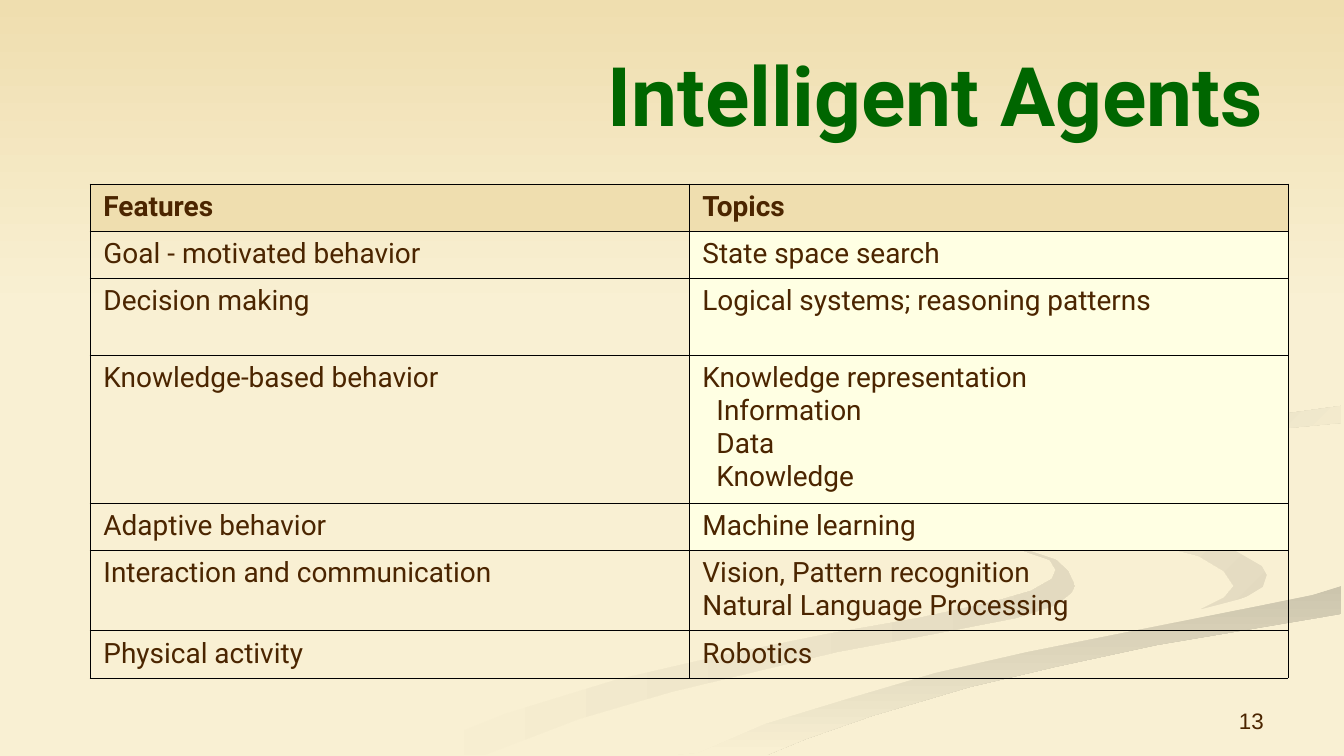
import lxml.etree
import pptx
import pptx.dml.color
import pptx.enum.text
import pptx.oxml.ns
import pptx.util

EMU_PER_PX = 914400 / 134.4
WIDTH, HEIGHT = 1344, 756

COLORS = {
    "background": "F9F0D3", "sand": "EFDEAF", "cream": "FFFFE3",
    "brown": "4B2500", "green": "006600", "border": "000000",
    "ribbon": "E3DAC0", "trail": "CCC5AD", "wisp": "DBD3B9",
}

# Edges shared by neighbouring ribbons
HOOK_EDGE = [(974, 468), (981, 482), (1001, 495), (1041, 508), (1116, 524),
             (1194, 539), (1236, 551), (1262, 566), (1267, 575)]
TRAIL_EDGE = [(676, 755), (698, 753), (765, 724), (847, 699), (935, 673),
              (1027, 652), (1117, 634), (1258, 606), (1312, 595), (1341, 586)]
WISP_EDGE = [(1050, 465), (1063, 450), (1104, 437), (1163, 427), (1254, 418),
             (1341, 406)]

LOOP = [(1050, 558), (1017, 547), (961, 532), (863, 511), (809, 495),
        (784, 481), (773, 462), (766, 476), (781, 488), (821, 503),
        (913, 524), (978, 539), (1024, 551), (1050, 560), (1056, 570),
        (1052, 579), (1031, 591), (993, 602), (919, 618), (828, 634),
        (724, 655), (616, 680), (505, 714), (403, 755), (485, 755),
        (579, 719), (671, 692), (758, 671), (837, 652), (939, 633),
        (1016, 618), (1056, 605), (1071, 593), (1075, 586), (1068, 571),
        (1056, 560)]
HOOK = HOOK_EDGE + [
    (1265, 586), (1253, 594), (1231, 602), (1202, 609), (1224, 598),
    (1234, 586), (1224, 571), (1199, 556), (1148, 543), (1071, 528),
    (1015, 509), (985, 492), (974, 478)]
TRAIL = TRAIL_EDGE + [
    (1341, 614), (1157, 645), (1055, 667), (970, 687), (872, 716),
    (806, 739), (767, 755)]
SWOOSH = HOOK_EDGE + [
    (1263, 587), (1245, 598), (1199, 610), (1133, 622), (1048, 638),
    (946, 660), (832, 689), (707, 730), (641, 755),
] + TRAIL_EDGE + [
    (1342, 543), (1265, 531), (1164, 513), (1098, 496), (1056, 477),
] + WISP_EDGE + [
    (1342, 390), (1266, 402), (1144, 414), (1059, 426), (997, 442),
    (977, 458)]
WISP = WISP_EDGE + [
    (1341, 423), (1258, 431), (1154, 446), (1097, 462), (1082, 476),
    (1091, 491), (1110, 500), (1083, 491), (1056, 478)]
TOP_BAND = [(0, 0), (WIDTH, 0), (WIDTH, 310), (0, 310)]

# Outline, gradient colours, clockwise gradient angle
DECORATIONS = [
    (LOOP, ("background", "ribbon"), 0),
    (HOOK, ("background", "ribbon"), 45),
    (TRAIL, ("trail", "background"), 90),
    (SWOOSH, ("background",), 0),
    (WISP, ("wisp", "background"), 45),
    (TOP_BAND, ("sand", "background"), 90),
]

# Row height, feature, topics, fill of the topics cell
ROWS = [
    (47, "Features", "Topics", "sand"),
    (46, "Goal - motivated behavior", "State space search", "cream"),
    (77, "Decision making", "Logical systems; reasoning patterns", "cream"),
    (145, "Knowledge-based behavior",
     "Knowledge representation\nInformation\nData\nKnowledge", "cream"),
    (47, "Adaptive behavior", "Machine learning", "cream"),
    (79, "Interaction and communication",
     "Vision, Pattern recognition\nNatural Language Processing", None),
    (46, "Physical activity", "Robotics", None),
]
INDENTED = {"Information", "Data", "Knowledge"}


def px(length):
    return pptx.util.Emu(round(length * EMU_PER_PX))


def rgb(name):
    return pptx.dml.color.RGBColor.from_string(COLORS[name])


def style_paragraph(paragraph, font_name, size, color, bold=False):
    for run in paragraph.runs:
        run.font.name = font_name
        run.font.size = pptx.util.Pt(size)
        run.font.bold = bold
        run.font.color.rgb = rgb(color)


def add_decoration(slide, points, colors, angle):
    builder = slide.shapes.build_freeform(*points[0], scale=EMU_PER_PX)
    builder.add_line_segments(points[1:], close=True)
    shape = builder.convert_to_shape()
    shape.shadow.inherit = False
    shape.line.fill.background()
    if len(colors) == 1:
        shape.fill.solid()
        shape.fill.fore_color.rgb = rgb(colors[0])
        return
    shape.fill.gradient()
    shape.fill.gradient_angle = (360 - angle) % 360
    for stop, color in zip(shape.fill.gradient_stops, colors):
        stop.color.rgb = rgb(color)


def add_right_text(slide, text, box, anchor, **style):
    text_frame = slide.shapes.add_textbox(*map(px, box)).text_frame
    text_frame.word_wrap = True
    text_frame.vertical_anchor = anchor
    text_frame.text = text
    paragraph = text_frame.paragraphs[0]
    paragraph.alignment = pptx.enum.text.PP_ALIGN.RIGHT
    style_paragraph(paragraph, **style)


def set_borders(cell):
    properties = cell._tc.get_or_add_tcPr()
    for index, side in enumerate(("a:lnL", "a:lnR", "a:lnT", "a:lnB")):
        line = lxml.etree.Element(pptx.oxml.ns.qn(side),
                                  w=str(pptx.util.Pt(0.45)))
        fill = lxml.etree.SubElement(line, pptx.oxml.ns.qn("a:solidFill"))
        lxml.etree.SubElement(fill, pptx.oxml.ns.qn("a:srgbClr"),
                              val=COLORS["border"])
        properties.insert(index, line)


def fill_cell(cell, text, fill, bold):
    cell.text_frame.text = text
    for paragraph in cell.text_frame.paragraphs:
        if paragraph.text in INDENTED:
            paragraph._p.get_or_add_pPr().set("marL", str(px(14)))
        style_paragraph(paragraph, "Roboto", 15, "brown", bold)
    if fill:
        cell.fill.solid()
        cell.fill.fore_color.rgb = rgb(fill)
    else:
        cell.fill.background()
    set_borders(cell)


def add_topics_table(slide):
    height = sum(row[0] for row in ROWS)
    table = slide.shapes.add_table(
        len(ROWS), 2, px(90), px(184), px(1198), px(height)).table
    table.first_row = table.horz_banding = False
    for index, (row_height, feature, topics, topics_fill) in enumerate(ROWS):
        header = index == 0
        table.rows[index].height = px(row_height)
        fill_cell(table.cell(index, 0), feature,
                  "sand" if header else None, header)
        fill_cell(table.cell(index, 1), topics, topics_fill, header)


def main():
    presentation = pptx.Presentation()
    presentation.slide_width = px(WIDTH)
    presentation.slide_height = px(HEIGHT)
    slide = presentation.slides.add_slide(presentation.slide_layouts[6])
    slide.background.fill.solid()
    slide.background.fill.fore_color.rgb = rgb("background")

    for points, colors, angle in DECORATIONS:
        add_decoration(slide, points, colors, angle)
    add_right_text(slide, "13", (964, 689, 313, 52),
                   pptx.enum.text.MSO_ANCHOR.BOTTOM,
                   font_name="Arial", size=12, color="brown")
    add_right_text(slide, "Intelligent Agents", (67, 31, 1210, 126),
                   pptx.enum.text.MSO_ANCHOR.MIDDLE,
                   font_name="Roboto", size=44, color="green", bold=True)
    add_topics_table(slide)
    presentation.save("out.pptx")


if __name__ == "__main__":
    main()
